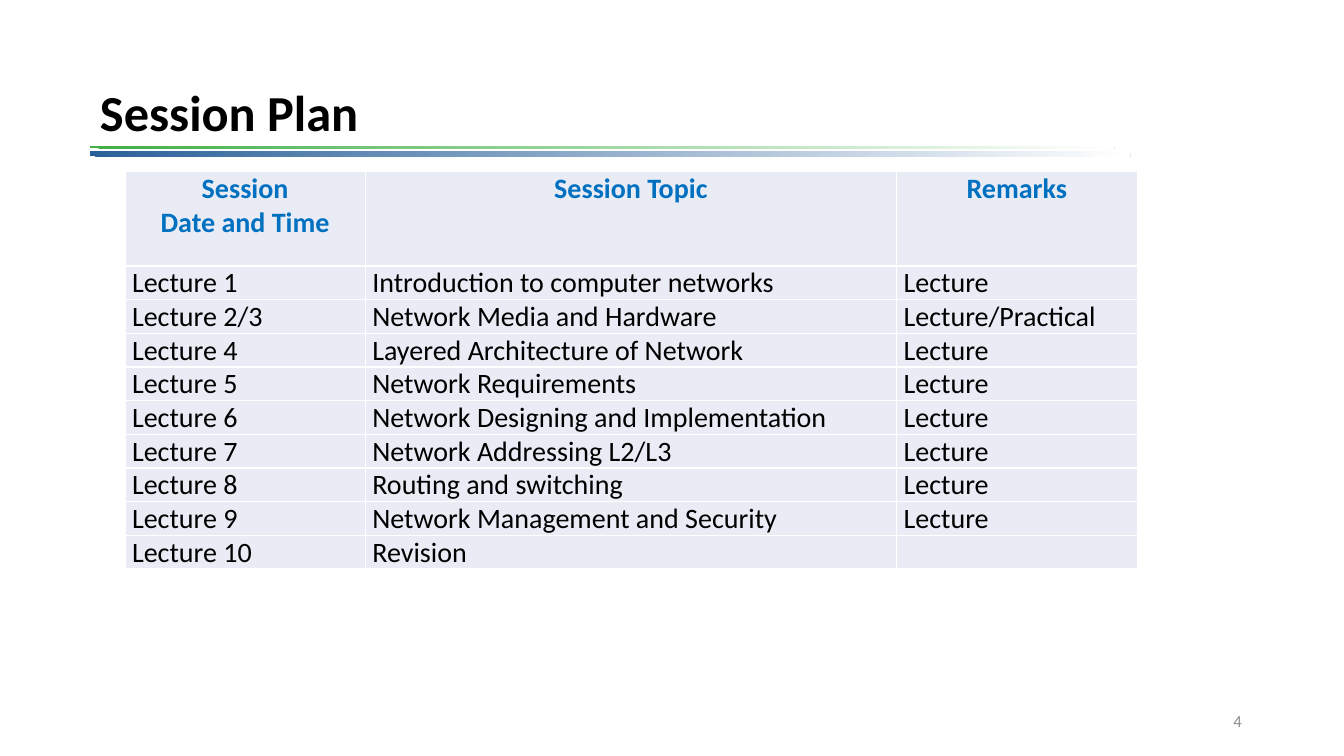
from dataclasses import dataclass

from lxml.etree import SubElement
from pptx import Presentation
from pptx.dml.color import RGBColor
from pptx.enum.shapes import MSO_SHAPE
from pptx.enum.text import MSO_ANCHOR, PP_ALIGN
from pptx.oxml.ns import qn
from pptx.util import Inches, Pt


@dataclass(frozen=True)
class Theme:
    font: str = "Calibri"
    ink: str = "000000"
    head: str = "0070C0"
    cell: str = "E9EBF5"
    edge: str = "FFFFFF"
    blue: str = "2A6099"
    green: str = "3FAF46"
    gray: str = "8C8C8C"
    title: int = 36
    body: int = 20
    note: int = 12


class Page:
    """Draws styled elements on one slide, with lengths in percent of its size."""

    def __init__(self, deck, theme):
        self.deck = deck
        self.theme = theme
        self.slide = deck.slides.add_slide(deck.slide_layouts[6])

    def wide(self, share):
        return round(self.deck.slide_width * share / 100)

    def high(self, share):
        return round(self.deck.slide_height * share / 100)

    def box(self, left, top, width, height):
        return self.wide(left), self.high(top), self.wide(width), self.high(height)

    def style(self, para, size, color, bold=False, align=PP_ALIGN.LEFT):
        para.alignment = align
        font = para.font
        font.name = self.theme.font
        font.size = Pt(size)
        font.bold = bold
        font.color.rgb = RGBColor.from_string(color)

    def text(self, words, area, size, color, bold=False, align=PP_ALIGN.LEFT, space=1.0):
        frame = self.slide.shapes.add_textbox(*self.box(*area)).text_frame
        frame.word_wrap = True
        frame.vertical_anchor = MSO_ANCHOR.MIDDLE
        frame.text = words
        para = frame.paragraphs[0]
        para.line_spacing = space
        self.style(para, size, color, bold, align)

    def bar(self, area, color):
        shape = self.slide.shapes.add_shape(MSO_SHAPE.RECTANGLE, *self.box(*area))
        shape.shadow.inherit = False
        shape.line.fill.background()
        shape.fill.gradient()
        shape.fill.gradient_angle = 319
        for stop, tint in zip(shape.fill.gradient_stops, (color, self.theme.edge)):
            stop.color.rgb = RGBColor.from_string(tint)

    def border(self, cell):
        props = cell._tc.get_or_add_tcPr()
        for side in ("lnL", "lnR", "lnT", "lnB"):
            line = SubElement(props, qn(f"a:{side}"), w=str(Pt(1)))
            fill = SubElement(line, qn("a:solidFill"))
            SubElement(fill, qn("a:srgbClr"), val=self.theme.edge)

    def cell(self, cell, words, head):
        look = self.theme
        self.border(cell)
        cell.fill.solid()
        cell.fill.fore_color.rgb = RGBColor.from_string(look.cell)
        cell.margin_left = cell.margin_right = Inches(0.07)
        cell.margin_top = cell.margin_bottom = 0
        cell.text = words
        color = look.head if head else look.ink
        align = PP_ALIGN.CENTER if head else PP_ALIGN.LEFT
        for para in cell.text_frame.paragraphs:
            self.style(para, look.body, color, head, align)

    def table(self, rows, left, top, widths, first, rest):
        heights = [first] + [rest] * (len(rows) - 1)
        area = self.box(left, top, sum(widths), sum(heights))
        table = self.slide.shapes.add_table(len(rows), len(widths), *area).table
        table.first_row = table.horz_banding = False
        for col, width in zip(table.columns, widths):
            col.width = self.wide(width)
        for row, height, items in zip(table.rows, heights, rows):
            row.height = self.high(height)
            for cell, words in zip(row.cells, items):
                self.cell(cell, words, items is rows[0])


PLAN = [
    ("Session\nDate and Time", "Session Topic", "Remarks"),
    ("Lecture 1", "Introduction to computer networks", "Lecture"),
    ("Lecture 2/3", "Network Media and Hardware", "Lecture/Practical"),
    ("Lecture 4", "Layered Architecture of Network", "Lecture"),
    ("Lecture 5", "Network Requirements", "Lecture"),
    ("Lecture 6", "Network Designing and Implementation", "Lecture"),
    ("Lecture 7", "Network Addressing L2/L3", "Lecture"),
    ("Lecture 8", "Routing and switching", "Lecture"),
    ("Lecture 9", "Network Management and Security", "Lecture"),
    ("Lecture 10", "Revision", ""),
]


def main():
    deck = Presentation()
    deck.slide_width, deck.slide_height = Inches(13.33), Inches(7.5)
    look = Theme()
    page = Page(deck, look)
    page.bar((6.7, 20, 77.4, 0.67), look.blue)
    page.bar((6.7, 19.33, 76.2, 0.3), look.green)
    page.text("Session Plan", (6.7, 7.6, 86.25, 15.2), look.title, look.ink, True, space=0.9)
    page.table(PLAN, 9.3, 22.67, (17.88, 39.53, 17.9), 12.53, 4.13)
    page.text("4", (70.65, 92.67, 22.5, 5.33), look.note, look.gray, align=PP_ALIGN.RIGHT)
    deck.save("out.pptx")


if __name__ == "__main__":
    main()
